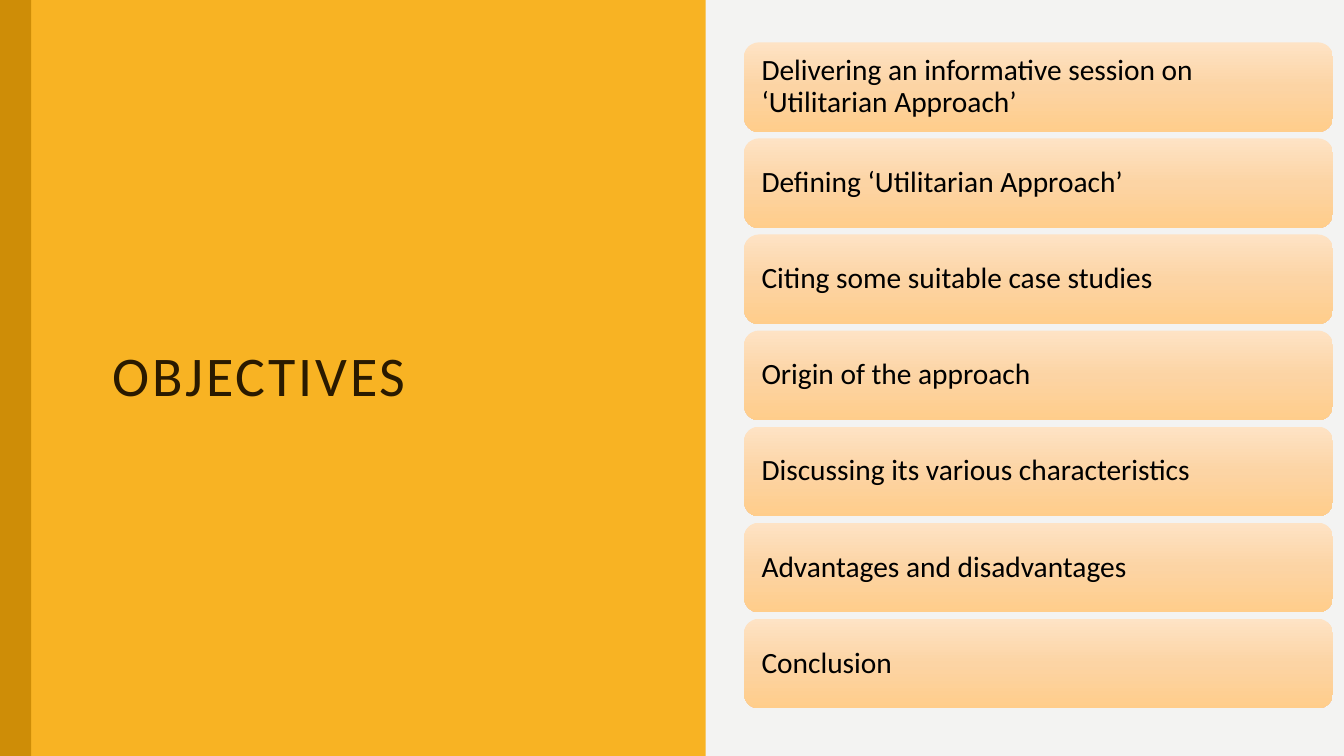
from copy import deepcopy
from dataclasses import dataclass

from pptx import Presentation
from pptx.dml.color import RGBColor as RGB
from pptx.enum.shapes import MSO_SHAPE as Shape
from pptx.enum.text import MSO_ANCHOR as Anchor, MSO_AUTO_SIZE as AutoSize, PP_ALIGN as Align
from pptx.util import Inches, Pt

HEADING = "OBJECTIVES"
OBJECTIVES = [
    "Delivering an informative session on ‘Utilitarian Approach’",
    "Defining ‘Utilitarian Approach’",
    "Citing some suitable case studies",
    "Origin of the approach",
    "Discussing its various characteristics",
    "Advantages and disadvantages",
    "Conclusion",
]


@dataclass(frozen=True)
class Theme:
    font: str = "Calibri"
    heading_size: int = 40
    card_size: int = 21
    line_spacing: float = 0.9
    background: str = "F3F3F2"
    panel: str = "F8B323"
    stripe: str = "CE8D07"
    heading: str = "2A1A00"
    card_text: str = "000000"
    card_stops: tuple = ((0, "FEE3C5"), (0.5, "FCD4A4"), (1, "FFCD8B"))


THEME = Theme()
SLIDE_W, SLIDE_H = 13.33, 7.5
STRIPE_W = 0.31
HEADING_BOX = (1.02, 1.27, 4.94, 4.96)
CARD_X, CARD_Y, CARD_W, CARD_H = 7.38, 0.42, 5.84, 0.89
CARD_PITCH = 0.953
CARD_INSET = 0.13
WAVE_COUNT, WAVE_PERIOD = 5, 1.5
HALF_WAVE = [
    (6.68, 0), (6.69, 0.07), (6.7, 0.13), (6.71, 0.19), (6.73, 0.24),
    (6.74, 0.28), (6.77, 0.32), (6.79, 0.37), (6.81, 0.4), (6.83, 0.45),
    (6.85, 0.49), (6.86, 0.54), (6.88, 0.6), (6.89, 0.66), (6.89, 0.75),
]


def paint(shape, color):
    shape.shadow.inherit = False
    shape.fill.solid()
    shape.fill.fore_color.rgb = RGB.from_string(color)
    shape.line.fill.background()


def paint_gradient(shape, stops):
    shape.shadow.inherit = False
    shape.line.fill.background()
    shape.fill.gradient()
    shape.fill.gradient_angle = 270
    first_stop = shape.fill.gradient_stops[0]._element
    first_stop.addnext(deepcopy(first_stop))
    for stop, (position, color) in zip(shape.fill.gradient_stops, stops):
        stop.position = position
        stop.color.rgb = RGB.from_string(color)


def write(shape, text, size, color):
    frame = shape.text_frame
    frame.word_wrap = True
    frame.auto_size = AutoSize.NONE
    frame.vertical_anchor = Anchor.MIDDLE
    paragraph = frame.paragraphs[0]
    paragraph.alignment = Align.LEFT
    paragraph.line_spacing = THEME.line_spacing
    run = paragraph.add_run()
    run.text = text
    run.font.name = THEME.font
    run.font.size = Pt(size)
    run.font.color.rgb = RGB.from_string(color)
    return run


def add_panel(slide):
    wave = HALF_WAVE + [(x, WAVE_PERIOD - y) for x, y in HALF_WAVE[-2::-1]]
    edge = [(x, y + i * WAVE_PERIOD) for i in range(WAVE_COUNT) for x, y in wave]
    outline = slide.shapes.build_freeform(0, 0, scale=Inches(1))
    outline.add_line_segments(edge + [(0, SLIDE_H)], close=True)
    paint(outline.convert_to_shape(), THEME.panel)
    stripe = slide.shapes.add_shape(
        Shape.RECTANGLE, 0, 0, Inches(STRIPE_W), Inches(SLIDE_H))
    paint(stripe, THEME.stripe)


def add_heading(slide):
    heading = slide.shapes.title
    heading.left, heading.top, heading.width, heading.height = map(Inches, HEADING_BOX)
    run = write(heading, HEADING, THEME.heading_size, THEME.heading)
    run.font._element.set("spc", "200")
    slide.shapes._spTree.append(heading._element)


def add_card(slide, index, objective):
    top = CARD_Y + index * CARD_PITCH
    card = slide.shapes.add_shape(
        Shape.ROUNDED_RECTANGLE, *map(Inches, (CARD_X, top, CARD_W, CARD_H)))
    paint_gradient(card, THEME.card_stops)
    write(card, objective, THEME.card_size, THEME.card_text)
    card.text_frame.margin_left = card.text_frame.margin_right = Inches(CARD_INSET)


def main():
    deck = Presentation()
    deck.slide_width, deck.slide_height = Inches(SLIDE_W), Inches(SLIDE_H)
    slide = deck.slides.add_slide(deck.slide_layouts[5])
    slide.background.fill.solid()
    slide.background.fill.fore_color.rgb = RGB.from_string(THEME.background)
    add_panel(slide)
    add_heading(slide)
    for index, objective in enumerate(OBJECTIVES):
        add_card(slide, index, objective)
    deck.save("out.pptx")


if __name__ == "__main__":
    main()
